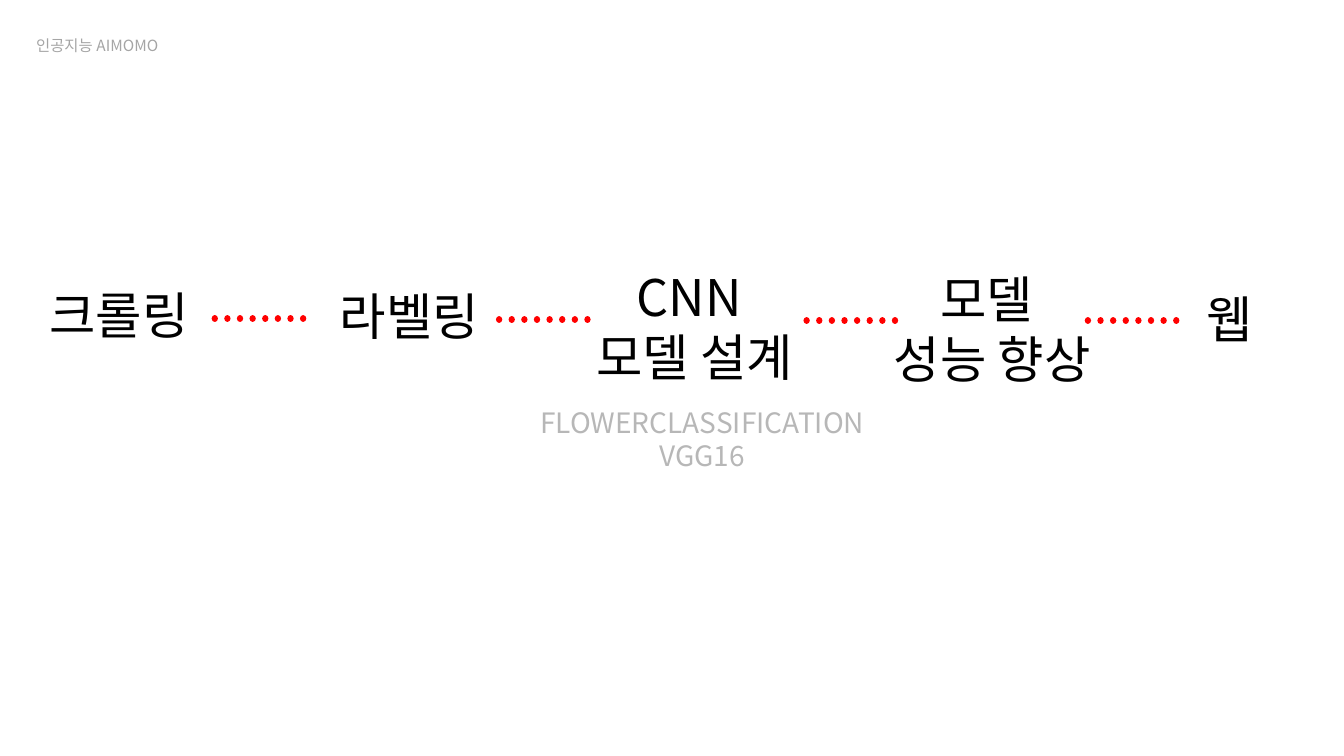
import pptx
import pptx.util
import pptx.dml.color
import pptx.enum.dml
import pptx.enum.shapes
import pptx.enum.text
import lxml.etree
from collections import namedtuple
from dataclasses import dataclass

Box = namedtuple("Box", "left top width height")
Inches = pptx.util.Inches


@dataclass(frozen=True)
class Theme:
    font: str = "Noto Sans CJK KR"
    header_color: str = "A5A5A5"
    step_color: str = "000000"
    detail_color: str = "B7B7B7"
    dots_color: str = "FF0000"
    header_size: float = 11
    step_size: float = 36
    detail_size: float = 20
    dots_width: float = 4.5


THEME = Theme()
SLIDE = Box(0, 0, 13.33, 7.5)
HEADER = Box(0.26, 0.31, 4.3, 0.28)
PIPELINE = Box(0, 2.59, SLIDE.width, 1.32)
DETAIL = Box(4.14, 3.97, 5.65, 0.76)

STEPS = [
    (1.18, 0.18, 2.3, ["크롤링"]),
    (4.06, 0.19, 2.3, ["라벨링"]),
    (6.89, 0, 3.83, ["CNN ", "모델 설계"]),
    (9.84, 0.02, 4.15, ["모델 ", "성능 향상"]),
    (12.2, 0.22, 2.2, ["웹"]),
]
DOTS = [(2.13, 0.57), (4.95, 0.58), (8, 0.59), (10.79, 0.59)]
DOTS_LENGTH = 0.89


def set_values(target, values):
    for name, value in values.items():
        setattr(target, name, value)


def add_text(slide, box, lines, size, color, alignment):
    shape = slide.shapes.add_textbox(*map(Inches, box))
    frame = shape.text_frame
    set_values(frame, {
        "word_wrap": True,
        "auto_size": pptx.enum.text.MSO_AUTO_SIZE.SHAPE_TO_FIT_TEXT,
        "text": "\n".join(lines),
    })
    for paragraph in frame.paragraphs:
        paragraph.alignment = alignment
        for run in paragraph.runs:
            set_values(run.font, {"size": pptx.util.Pt(size), "name": THEME.font})
            run.font.color.rgb = pptx.dml.color.RGBColor.from_string(color)
            properties = run.font._element
            east_asian = lxml.etree.SubElement(properties, pptx.oxml.ns.qn("a:ea"))
            east_asian.set("typeface", THEME.font)


def add_dots(slide, left, top):
    ends = map(Inches, (left, top, left + DOTS_LENGTH, top))
    connector = slide.shapes.add_connector(pptx.enum.shapes.MSO_CONNECTOR.STRAIGHT, *ends)
    connector.line.color.rgb = pptx.dml.color.RGBColor.from_string(THEME.dots_color)
    set_values(connector.line, {
        "width": pptx.util.Pt(THEME.dots_width),
        "dash_style": pptx.enum.dml.MSO_LINE.ROUND_DOT,
    })
    properties = connector._element.spPr
    properties.find(pptx.oxml.ns.qn("a:ln")).set("cap", "rnd")
    lxml.etree.SubElement(properties, pptx.oxml.ns.qn("a:effectLst"))


def add_header(slide, box):
    add_text(slide, box, ["인공지능 AIMOMO"], THEME.header_size,
             THEME.header_color, pptx.enum.text.PP_ALIGN.LEFT)


def add_pipeline(slide, box):
    for center, offset, width, lines in STEPS:
        height = 0.1 + 0.6 * len(lines)
        step = Box(box.left + center - width / 2, box.top + offset, width, height)
        add_text(slide, step, lines, THEME.step_size,
                 THEME.step_color, pptx.enum.text.PP_ALIGN.CENTER)
    for left, offset in DOTS:
        add_dots(slide, box.left + left, box.top + offset)


def add_detail(slide, box):
    add_text(slide, box, ["FLOWERCLASSIFICATION", "VGG16"], THEME.detail_size,
             THEME.detail_color, pptx.enum.text.PP_ALIGN.CENTER)


def main():
    presentation = pptx.Presentation()
    set_values(presentation, {
        "slide_width": Inches(SLIDE.width),
        "slide_height": Inches(SLIDE.height),
    })
    slide = presentation.slides.add_slide(presentation.slide_layouts[6])
    add_header(slide, HEADER)
    add_pipeline(slide, PIPELINE)
    add_detail(slide, DETAIL)
    presentation.save("out.pptx")


if __name__ == "__main__":
    main()
